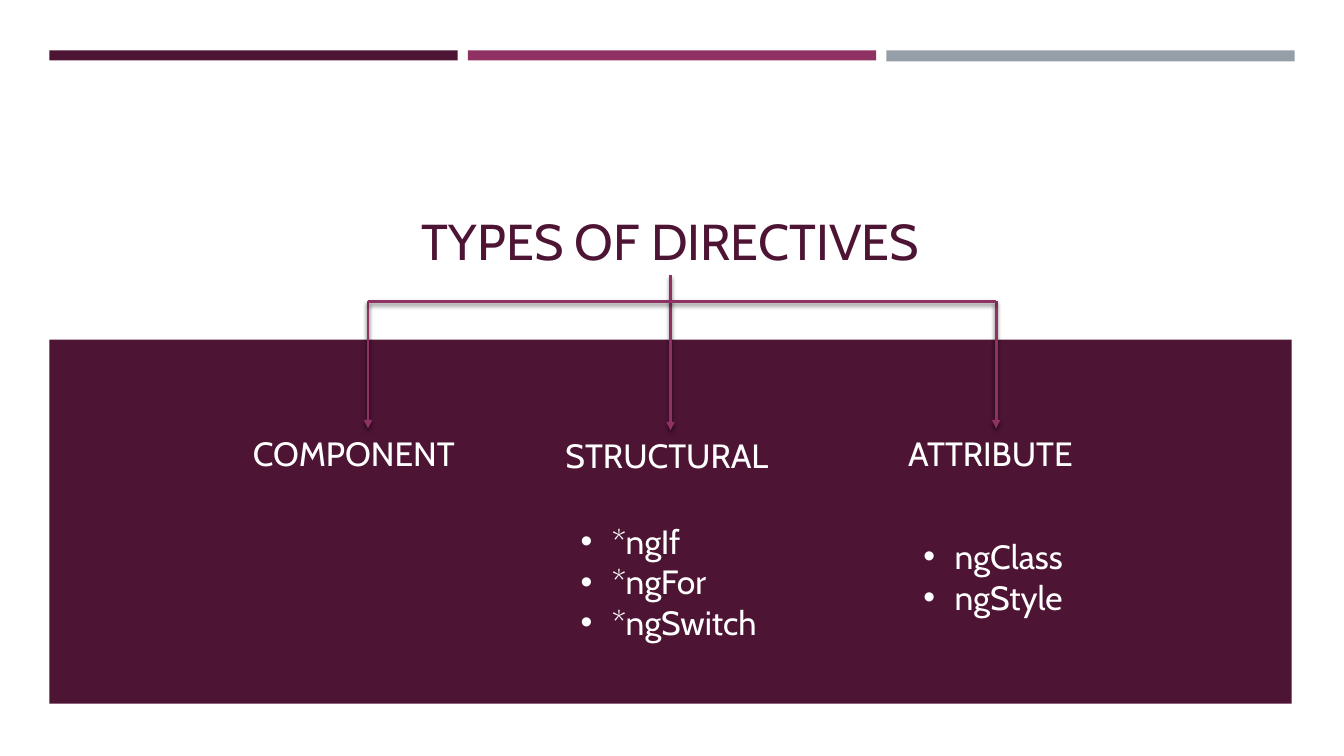
from typing import NamedTuple

from lxml.etree import SubElement
from pptx import Presentation
from pptx.dml.color import RGBColor
from pptx.enum.shapes import MSO_CONNECTOR, MSO_SHAPE
from pptx.enum.text import MSO_ANCHOR, PP_ALIGN
from pptx.oxml.ns import qn
from pptx.util import Inches, Pt

PLUM, MAGENTA, GRAY, WHITE = "4D1434", "903163", "969FA7", "FFFFFF"
FONT = "Cabin"
LEFT_MARGIN = 0.49
BAR_WIDTH, BAR_STEP = 4.05, 4.15
BRANCH_TOP = 2.99
BULLET_INDENT = 0.31


class Area(NamedTuple):
    """A rectangle in inches."""
    left: float
    top: float
    width: float
    height: float


class Directive(NamedTuple):
    """One kind of directive, its arrow and its examples."""
    name: str
    heading: Area
    arrow_x: float
    arrow_top: float
    examples: tuple[str, ...] = ()
    example_area: Area | None = None


DIRECTIVES = (
    Directive("COMPONENT", Area(2.41, 4.25, 2.48, 0.65), 3.65, BRANCH_TOP),
    Directive("STRUCTURAL", Area(5.51, 4.27, 2.28, 0.65), 6.65, 2.73,
              ("*ngIf", "*ngFor", "*ngSwitch"), Area(5.66, 5.12, 2.01, 1.31)),
    Directive("ATTRIBUTE", Area(8.91, 4.25, 1.94, 0.65), 9.88, BRANCH_TOP,
              ("ngClass", "ngStyle"), Area(9.06, 5.27, 2.01, 0.91)),
)


def color(value: str) -> RGBColor:
    """Turn a hex string into a colour."""
    return RGBColor.from_string(value)


def add_block(page, area: Area, fill: str) -> None:
    """Draw a plain filled rectangle."""
    block = page.shapes.add_shape(MSO_SHAPE.RECTANGLE, *map(Inches, area))
    block.shadow.inherit = False
    block.fill.solid()
    block.fill.fore_color.rgb = color(fill)
    block.line.fill.background()


def add_text(page, area: Area, text: str, size: int = 24, ink: str = WHITE,
             align=PP_ALIGN.LEFT, anchor=MSO_ANCHOR.TOP):
    """Add a wrapped text box and return it."""
    box = page.shapes.add_textbox(*map(Inches, area))
    frame = box.text_frame
    frame.word_wrap = True
    frame.vertical_anchor = anchor
    frame.text = text
    for para in frame.paragraphs:
        para.alignment = align
        for span in para.runs:
            span.font.name = FONT
            span.font.size = Pt(size)
            span.font.color.rgb = color(ink)
    return box


def add_bullets(box) -> None:
    """Give every paragraph a hanging round bullet."""
    for para in box.text_frame.paragraphs:
        properties = para._p.get_or_add_pPr()
        properties.set("marL", str(Inches(BULLET_INDENT)))
        properties.set("indent", str(-Inches(BULLET_INDENT)))
        SubElement(properties, qn("a:buFont"), typeface="Arial")
        SubElement(properties, qn("a:buChar"), char="•")


def add_line(page, start: tuple[float, float], end: tuple[float, float],
             arrow: bool = False) -> None:
    """Draw a shadowed line, with an arrowhead at its end if asked."""
    line = page.shapes.add_connector(
        MSO_CONNECTOR.STRAIGHT, *map(Inches, start + end))
    line.line.color.rgb = color(MAGENTA)
    line.line.width = Pt(2)
    if arrow:
        SubElement(line.line._get_or_add_ln(), qn("a:tailEnd"), type="triangle")
    effects = SubElement(line._element.spPr, qn("a:effectLst"))
    shadow = SubElement(effects, qn("a:outerShdw"), blurRad=str(Pt(3)),
                        dist=str(Pt(2)), dir="5400000", rotWithShape="0")
    shade = SubElement(shadow, qn("a:srgbClr"), val="000000")
    SubElement(shade, qn("a:alpha"), val="55000")


def add_directive(page, directive: Directive) -> None:
    """Draw a directive's heading, arrow and list of examples."""
    add_text(page, directive.heading, directive.name)
    add_line(page, (directive.arrow_x, directive.arrow_top),
             (directive.arrow_x, directive.heading.top), arrow=True)
    if directive.example_area:
        add_bullets(add_text(page, directive.example_area,
                             "\n".join(directive.examples)))


def main() -> None:
    """Build the slide and save it."""
    deck = Presentation()
    deck.slide_width, deck.slide_height = Inches(13.33), Inches(7.5)
    page = deck.slides.add_slide(deck.slide_layouts[6])

    bars = ((PLUM, 0.1), (MAGENTA, 0.1), (GRAY, 0.11))
    for index, (fill, height) in enumerate(bars):
        left = LEFT_MARGIN + index * BAR_STEP
        add_block(page, Area(left, 0.5, BAR_WIDTH, height), fill)
    add_block(page, Area(LEFT_MARGIN, 3.37, 12.32, 3.61), PLUM)

    add_text(page, Area(0.64, 1.12, 12.02, 1.61), "TYPES OF DIRECTIVES", 36,
             PLUM, PP_ALIGN.CENTER, MSO_ANCHOR.BOTTOM)
    for directive in DIRECTIVES:
        add_directive(page, directive)
    add_line(page, (DIRECTIVES[0].arrow_x, BRANCH_TOP),
             (DIRECTIVES[-1].arrow_x, BRANCH_TOP))

    deck.save("out.pptx")


main()
